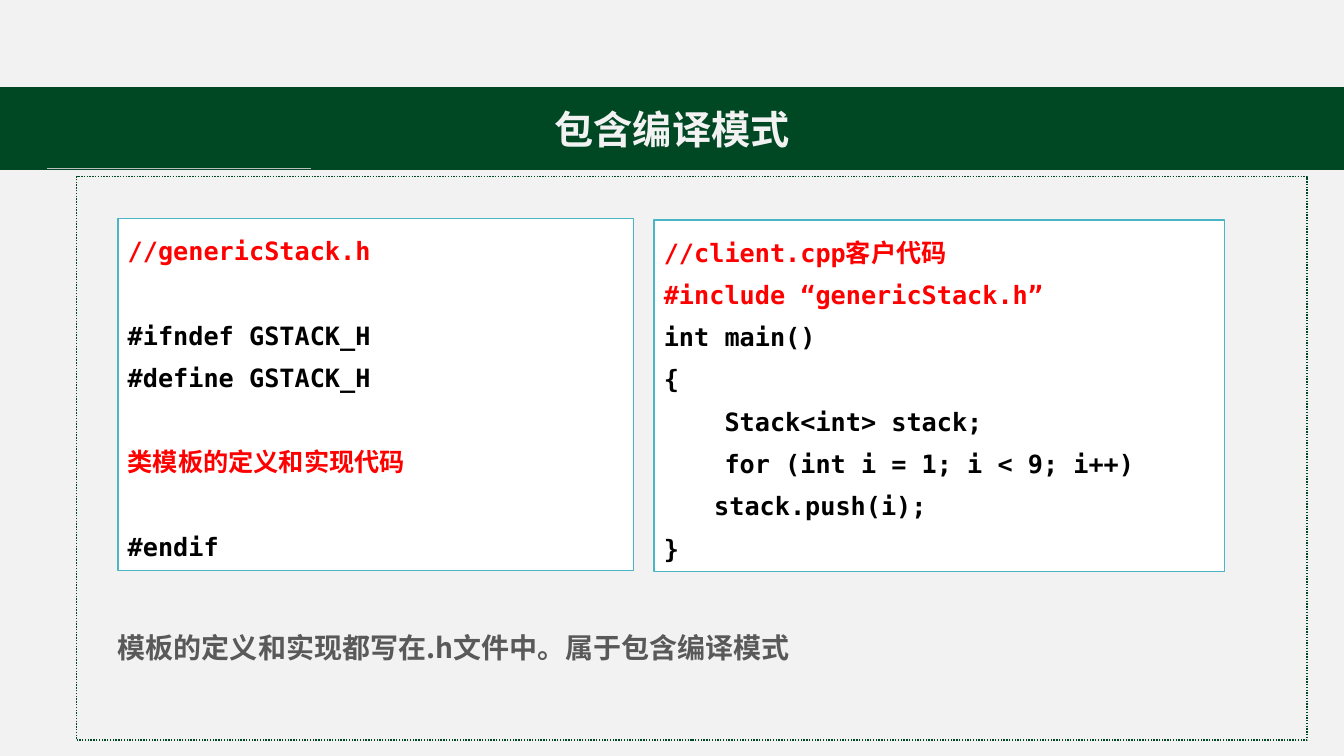
from lxml.etree import SubElement
from pptx import Presentation
from pptx.dml.color import RGBColor
from pptx.enum.dml import MSO_LINE as Dash
from pptx.enum.shapes import MSO_CONNECTOR as Link, MSO_SHAPE as Shape
from pptx.enum.text import MSO_ANCHOR as Anchor, MSO_AUTO_SIZE as Fit, PP_ALIGN as Align
from pptx.oxml.ns import qn
from pptx.util import Cm, Pt

GREEN = RGBColor(0x00, 0x47, 0x23)
PALE = RGBColor(0xF2, 0xF2, 0xF2)
WHITE = RGBColor(0xFF, 0xFF, 0xFF)
SILVER = RGBColor(0xBF, 0xBF, 0xBF)
GREY = RGBColor(0x59, 0x59, 0x59)
TEAL = RGBColor(0x4A, 0xB5, 0xC4)
RED = RGBColor(0xFF, 0x00, 0x00)
BLACK = RGBColor(0x00, 0x00, 0x00)
SANS = "Noto Sans CJK SC"
MONO = "DejaVu Sans Mono"

HEADER = [
    ("//genericStack.h", RED, 0),
    ("#ifndef GSTACK_H", BLACK, 1),
    ("#define GSTACK_H", BLACK, 0),
    ("类模板的定义和实现代码", RED, 1),
    ("#endif", BLACK, 1),
]
CLIENT = [
    ("//client.cpp客户代码", RED, 0),
    ("#include “genericStack.h”", RED, 0),
    ("int main()", BLACK, 0),
    ("{", BLACK, 0),
    ("    Stack<int> stack;", BLACK, 0),
    ("    for (int i = 1; i < 9; i++)", BLACK, 0),
    ("\tstack.push(i);", BLACK, 0),
    ("}", BLACK, 0),
]


def write(para, text, size=18, color=BLACK, face=SANS, align=Align.LEFT, line=1.4, gap=0):
    props = para._p.get_or_add_pPr()
    props.set("marL", "0")
    props.set("indent", "0")
    SubElement(props, qn("a:buNone"))
    para.alignment = align
    para.line_spacing = line
    para.space_before = Pt(gap)
    run = para.add_run()
    run.text = text
    font = run.font
    font.size, font.bold, font.name = Pt(size), True, face
    font.color.rgb = color
    SubElement(run._r.get_or_add_rPr(), qn("a:ea")).set("typeface", SANS)


class Deck:
    row = 30

    def __init__(self):
        self.show = Presentation()
        self.show.slide_width, self.show.slide_height = Cm(33.87), Cm(19.05)
        self.page = self.show.slides.add_slide(self.show.slide_layouts[1])
        back = self.page.background.fill
        back.solid()
        back.fore_color.rgb = PALE

    def place(self, item, left, top, width, height):
        item.left, item.top = Cm(left), Cm(top)
        item.width, item.height = Cm(width), Cm(height)
        frame = item.text_frame
        frame.word_wrap, frame.auto_size = True, Fit.NONE
        return frame

    def title(self, text, *area):
        band = self.page.shapes.title
        frame = self.place(band, *area)
        frame.vertical_anchor = Anchor.MIDDLE
        band.fill.solid()
        band.fill.fore_color.rgb = GREEN
        band.line.color.rgb = GREEN
        band.line.width = Pt(1)
        write(frame.paragraphs[0], text, size=28, color=PALE, align=Align.CENTER, line=1)

    def note(self, text, *area):
        frame = self.place(self.page.placeholders[1], *area)
        frame.vertical_anchor = Anchor.TOP
        frame.margin_left = frame.margin_right = 0
        frame.margin_top = frame.margin_bottom = 0
        write(frame.paragraphs[0], text, size=20, color=GREY)

    def rule(self, left, top, width):
        line = self.page.shapes.add_connector(
            Link.STRAIGHT, Cm(left), Cm(top), Cm(left + width), Cm(top))
        line.line.color.rgb = SILVER
        line.line.width = Pt(0.5)
        SubElement(line._element.spPr, qn("a:effectLst"))

    def box(self, color, *area):
        item = self.page.shapes.add_shape(Shape.RECTANGLE, *map(Cm, area))
        item.shadow.inherit = False
        item.fill.background()
        item.line.color.rgb = color
        item.line.width = Pt(1)
        return item

    def border(self, *area):
        self.box(GREEN, *area).line.dash_style = Dash.ROUND_DOT

    def code(self, lines, *area):
        item = self.box(TEAL, *area)
        item.fill.solid()
        item.fill.fore_color.rgb = WHITE
        frame = self.place(item, *area)
        frame.vertical_anchor = Anchor.TOP
        for spot, (text, color, skip) in enumerate(lines):
            para = frame.add_paragraph() if spot else frame.paragraphs[0]
            write(para, text, color=color, face=MONO, gap=skip * self.row)


def main():
    deck = Deck()
    deck.title("包含编译模式", 0, 2.21, 33.87, 2.06)
    deck.rule(1.19, 4.24, 6.65)
    deck.border(1.93, 4.45, 31.01, 14.2)
    deck.code(HEADER, 2.97, 5.51, 13, 8.86)
    deck.code(CLIENT, 16.48, 5.54, 14.38, 8.86)
    deck.note("模板的定义和实现都写在.h文件中。属于包含编译模式", 2.97, 15.54, 25.73, 1.19)
    deck.show.save("out.pptx")


if __name__ == "__main__":
    main()
